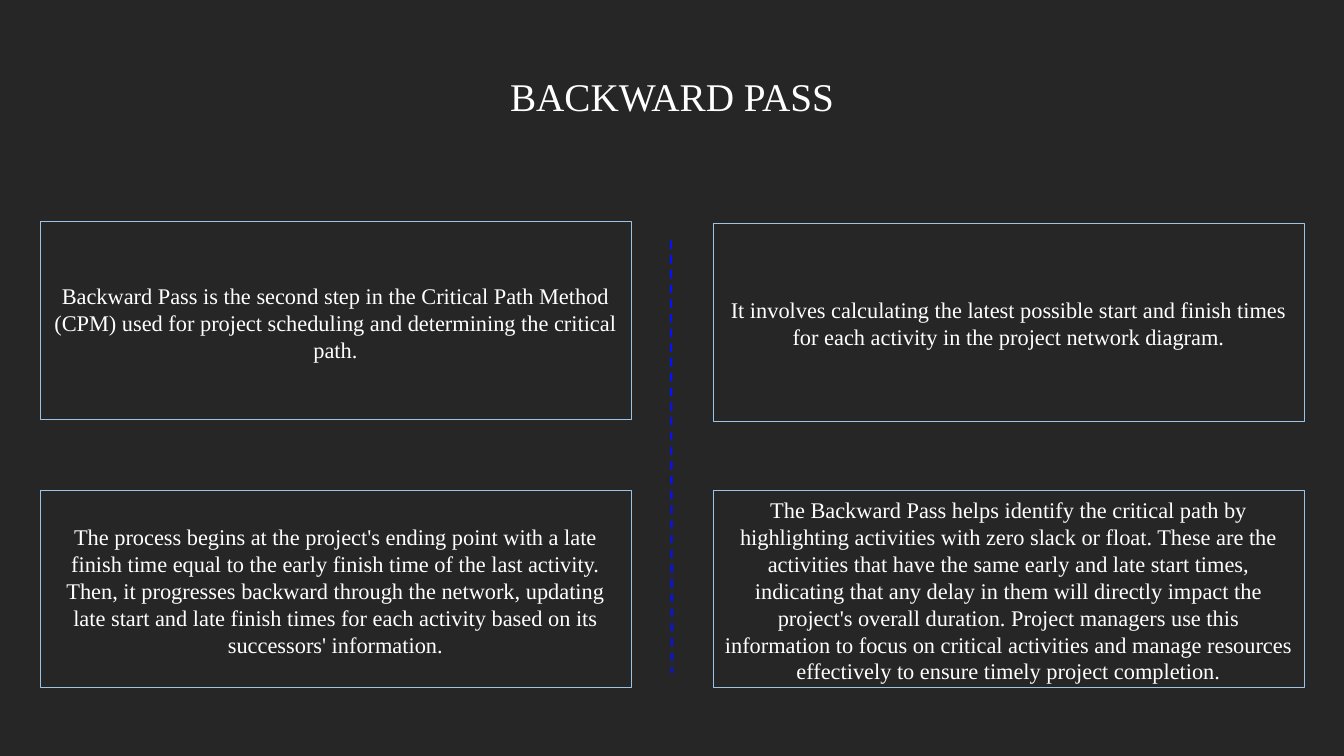
from pptx import Presentation
from pptx.dml.color import RGBColor
from pptx.enum.dml import MSO_LINE_DASH_STYLE as DASH
from pptx.enum.shapes import MSO_CONNECTOR, MSO_SHAPE
from pptx.enum.text import MSO_AUTO_SIZE, PP_ALIGN
from pptx.oxml.ns import qn
from pptx.util import Pt
from lxml import etree

PX = 9525  # EMU per px, 96 px to the inch
SLIDE_WIDTH, SLIDE_HEIGHT = 1280, 720
FONT = "Times New Roman"
COLOURS = {"background": "262626", "text": "FFFFFF",
           "frame": "9DC3E6", "divider": "0612FE"}

LEFT, RIGHT = 38, 679
CARD_WIDTH, CARD_HEIGHT = 563, 188

# left, frame top, text top, text height, wording
CARDS = [
    (LEFT, 211, 264, 87,
     "Backward Pass is the second step in the Critical Path Method (CPM) used "
     "for project scheduling and determining the critical path."),
    (RIGHT, 213, 277, 61,
     "It involves calculating the latest possible start and finish times for "
     "each activity in the project network diagram."),
    (LEFT, 467, 494, 139,
     "The process begins at the project's ending point with a late finish time "
     "equal to the early finish time of the last activity. Then, it progresses "
     "backward through the network, updating late start and late finish times "
     "for each activity based on its successors' information."),
    (RIGHT, 467, 468, 191,
     "The Backward Pass helps identify the critical path by highlighting "
     "activities with zero slack or float. These are the activities that have "
     "the same early and late start times, indicating that any delay in them "
     "will directly impact the project's overall duration. Project managers "
     "use this information to focus on critical activities and manage "
     "resources effectively to ensure timely project completion."),
]


def colour(name):
    return RGBColor.from_string(COLOURS[name])


def px(*lengths):
    return [length * PX for length in lengths]


def add_rectangle(slide, left, top, width, height, fill=None, line=None):
    shape = slide.shapes.add_shape(MSO_SHAPE.RECTANGLE,
                                   *px(left, top, width, height))
    shape.shadow.inherit = False
    if fill:
        shape.fill.solid()
        shape.fill.fore_color.rgb = colour(fill)
    else:
        shape.fill.background()
    if line:
        shape.line.color.rgb = colour(line)
        shape.line.width = Pt(0.25)
    else:
        shape.line.fill.background()


def add_text(slide, left, top, width, height, text, size):
    frame = slide.shapes.add_textbox(*px(left, top, width, height)).text_frame
    frame.word_wrap = True
    frame.auto_size = MSO_AUTO_SIZE.SHAPE_TO_FIT_TEXT
    paragraph = frame.paragraphs[0]
    paragraph.alignment = PP_ALIGN.CENTER
    run = paragraph.add_run()
    run.text = text
    run.font.name = FONT
    run.font.size = Pt(size)
    run.font.color.rgb = colour("text")


def add_divider(slide, *ends):
    divider = slide.shapes.add_connector(MSO_CONNECTOR.STRAIGHT, *px(*ends))
    divider.line.color.rgb = colour("divider")
    divider.line.width = Pt(1.5)
    divider.line.dash_style = DASH.DASH
    etree.SubElement(divider._element.spPr, qn("a:effectLst"))


def main():
    presentation = Presentation()
    presentation.slide_width, presentation.slide_height = px(SLIDE_WIDTH, SLIDE_HEIGHT)
    slide = presentation.slides.add_slide(presentation.slide_layouts[6])

    # Background and title
    add_rectangle(slide, 0, 0, SLIDE_WIDTH, SLIDE_HEIGHT, fill="background")
    add_text(slide, 378, 64, 524, 55, "BACKWARD PASS", 28)

    # Dashed line between the columns
    add_divider(slide, 639, 229, 640, 641)

    # Framed statements
    for left, frame_top, text_top, text_height, text in CARDS:
        add_text(slide, left, text_top, CARD_WIDTH, text_height, text, 16)
        add_rectangle(slide, left, frame_top, CARD_WIDTH, CARD_HEIGHT, line="frame")

    presentation.save("out.pptx")


if __name__ == "__main__":
    main()
